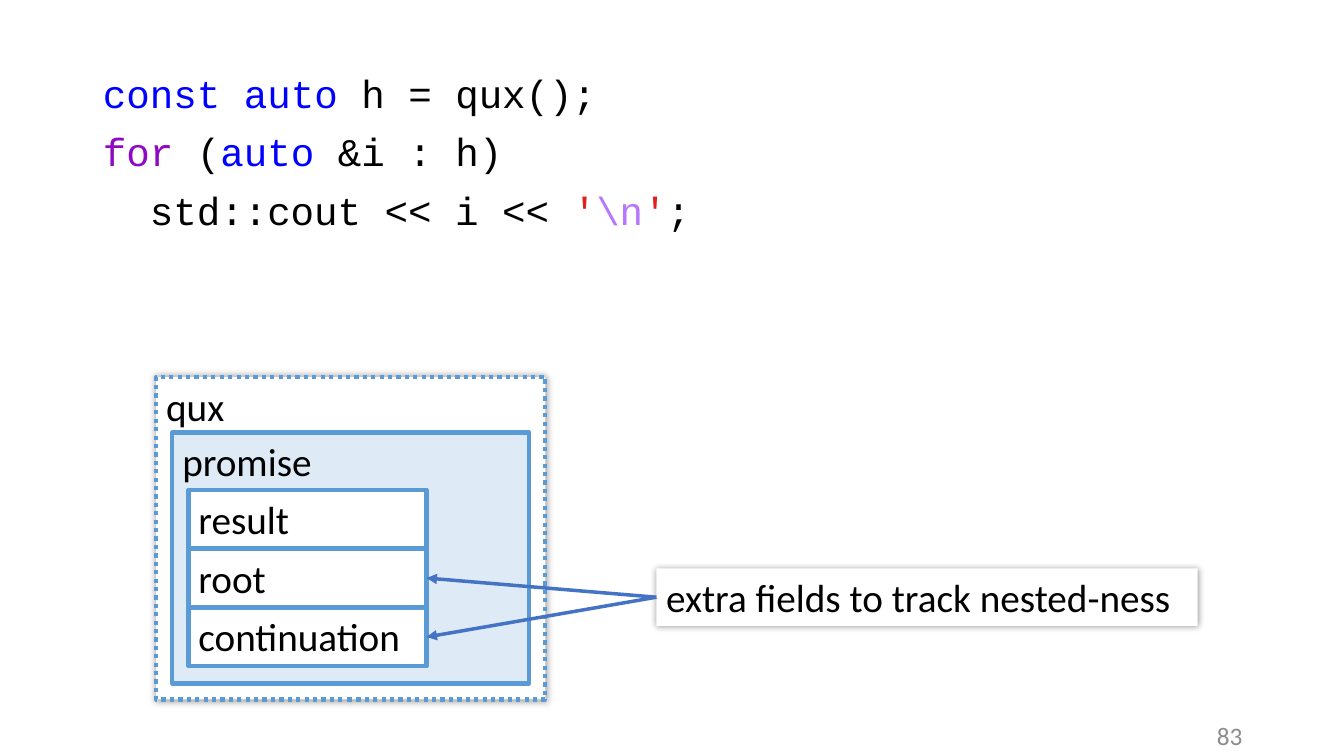
from lxml import etree
from pptx import Presentation
from pptx.dml.color import RGBColor
from pptx.enum.dml import MSO_LINE
from pptx.enum.shapes import MSO_CONNECTOR, MSO_SHAPE
from pptx.enum.text import MSO_ANCHOR, MSO_AUTO_SIZE, PP_ALIGN
from pptx.oxml.ns import qn
from pptx.util import Inches, Pt

RECTANGLE = MSO_SHAPE.RECTANGLE
STRAIGHT = MSO_CONNECTOR.STRAIGHT
DOTTED = MSO_LINE.ROUND_DOT
TOP, MIDDLE = MSO_ANCHOR.TOP, MSO_ANCHOR.MIDDLE
LEFT, RIGHT = PP_ALIGN.LEFT, PP_ALIGN.RIGHT
LEFT_SIDE, RIGHT_SIDE = 1, 3

COLORS = {
    "text": "000000",
    "keyword": "0000FF",
    "control": "8F08C4",
    "quote": "E21F1F",
    "escape": "B776FB",
    "frame": "5B9BD5",
    "paper": "FFFFFF",
    "promise": "DEEBF7",
    "arrow": "4472C4",
    "number": "8C8C8C",
}

CODE = [
    [("const", "keyword"), (" ", "text"), ("auto", "keyword"), (" h = qux();", "text")],
    [("for", "control"), (" (", "text"), ("auto", "keyword"), (" &i : h)", "text")],
    [("  std::cout << i << ", "text"), ("'", "quote"), ("\\n", "escape"),
     ("'", "quote"), (";", "text")],
]
FIELDS = ["result", "root", "continuation"]


def color(name):
    return RGBColor.from_string(COLORS[name])


def add_span(para, text, color_name, font="Calibri", size=28):
    span = para.add_run()
    span.text = text
    span.font.name = font
    span.font.size = Pt(size)
    span.font.color.rgb = color(color_name)


def add_glow_shadow(shape):
    """Give the shape a soft, centred shadow."""
    effects = etree.SubElement(shape._element.spPr, qn("a:effectLst"))
    shadow = etree.SubElement(effects, qn("a:outerShdw"),
                              blurRad=str(Pt(5)), dist="0", dir="0")
    black = etree.SubElement(shadow, qn("a:srgbClr"), val=COLORS["text"])
    etree.SubElement(black, qn("a:alpha"), val="40000")


def add_box(page, left, top, width, height, text, fill="paper", line="frame",
            dash=None, shadow=False):
    box = page.shapes.add_shape(RECTANGLE, Inches(left), Inches(top),
                                Inches(width), Inches(height))
    box.fill.solid()
    box.fill.fore_color.rgb = color(fill)
    if line:
        box.line.color.rgb = color(line)
        box.line.width = Pt(3)
        if dash:
            box.line.dash_style = dash
    else:
        box.line.fill.background()
    if shadow:
        add_glow_shadow(box)
    else:
        box.shadow.inherit = False
    box.text_frame.word_wrap = True
    box.text_frame.vertical_anchor = TOP
    para = box.text_frame.paragraphs[0]
    para.alignment = LEFT
    add_span(para, text, "text")
    return box


def add_code(body, left, top, width, height):
    body.left, body.top = Inches(left), Inches(top)
    body.width, body.height = Inches(width), Inches(height)
    frame = body.text_frame
    frame.auto_size = MSO_AUTO_SIZE.NONE
    frame.vertical_anchor = TOP
    frame.margin_top = Inches(0.74)
    for index, line in enumerate(CODE):
        para = frame.add_paragraph() if index else frame.paragraphs[0]
        properties = para._p.get_or_add_pPr()
        properties.set("marL", "0")
        properties.set("indent", "0")
        etree.SubElement(properties, qn("a:buNone"))
        para.line_spacing = 0.9
        para.space_before = Pt(11.5 if index else 0)
        for text, color_name in line:
            add_span(para, text, color_name, "Courier New")


def add_coroutine(page, left, top, width, height):
    """Draw the nested frame and return its field boxes."""
    inset, heading, field_height = 0.16, 0.55, 0.58
    add_box(page, left, top, width, height, "qux", dash=DOTTED, shadow=True)
    left, top = left + inset, top + heading
    add_box(page, left, top, width - 2 * inset, height - heading - inset,
            "promise", fill="promise")
    left, top = left + inset, top + heading + 0.02
    return [add_box(page, left, top + index * (field_height + 0.005), 2.36,
                    field_height, name)
            for index, name in enumerate(FIELDS)]


def add_arrow(page, source, target):
    arrow = page.shapes.add_connector(STRAIGHT, 0, 0, 0, 0)
    arrow.begin_connect(source, LEFT_SIDE)
    arrow.end_connect(target, RIGHT_SIDE)
    arrow.line.color.rgb = color("arrow")
    arrow.line.width = Pt(2.5)
    etree.SubElement(arrow.line._get_or_add_ln(), qn("a:tailEnd"), type="triangle")
    etree.SubElement(arrow._element.spPr, qn("a:effectLst"))


def add_callout(page, left, top, width, height, targets):
    callout = add_box(page, left, top, width, height,
                      "extra fields to track nested-ness", line=None, shadow=True)
    for target in targets:
        add_arrow(page, callout, target)


def add_page_number(page, left, top, width, height):
    box = page.shapes.add_textbox(Inches(left), Inches(top),
                                  Inches(width), Inches(height))
    box.text_frame.word_wrap = True
    box.text_frame.vertical_anchor = MIDDLE
    para = box.text_frame.paragraphs[0]
    para.alignment = RIGHT
    add_span(para, "83", "number", size=18)


def main():
    deck = Presentation()
    deck.slide_width, deck.slide_height = Inches(13.33), Inches(7.5)
    page = deck.slides.add_slide(deck.slide_layouts[1])
    title = page.shapes.title._element
    title.getparent().remove(title)

    add_code(page.placeholders[1], 0.92, 0, 11.5, 7.1)
    add_page_number(page, 9.42, 7.1, 3, 0.4)
    fields = add_coroutine(page, 1.55, 3.74, 3.86, 3.2)
    add_callout(page, 6.51, 5.64, 5.37, 0.57, fields[1:])
    deck.save("out.pptx")


if __name__ == "__main__":
    main()
